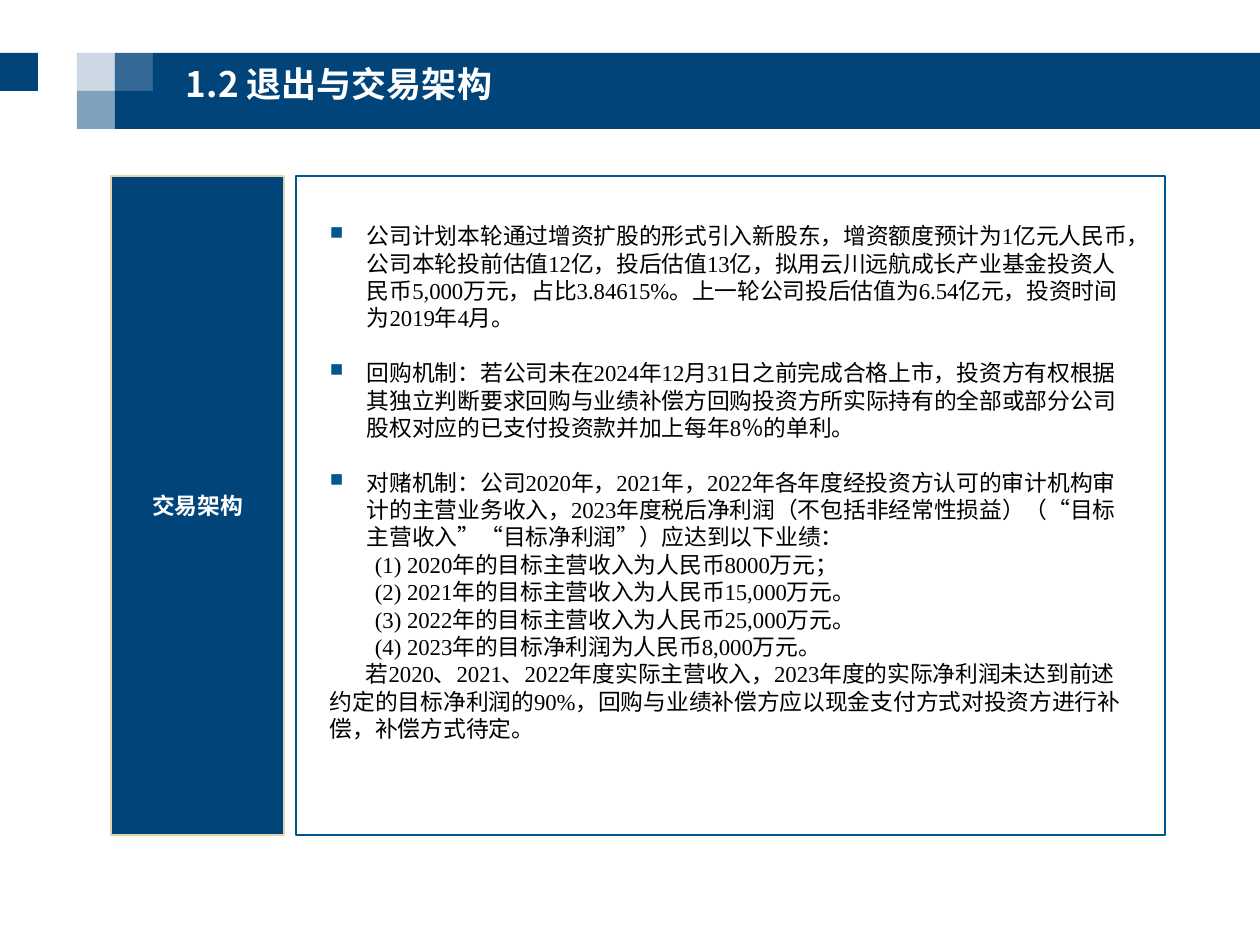
from dataclasses import dataclass

from lxml import etree
from pptx import Presentation
from pptx import util as u
from pptx.dml.color import RGBColor
from pptx.enum import shapes, text
from pptx.oxml import ns

EMU_PER_PX = 914400 / 126
NAVY = RGBColor(0x00, 0x44, 0x7A)
BLUE = RGBColor(0x00, 0x58, 0x8F)
SAND = RGBColor(0xE5, 0xD3, 0xAE)
WHITE = RGBColor(0xFF, 0xFF, 0xFF)
BLACK = RGBColor(0x00, 0x00, 0x00)
SANS = "Noto Sans CJK SC"
SERIF = "Times New Roman"
CELL = 38  # side of a header square
LINE_PT = 15.65  # line pitch of the body text


@dataclass(frozen=True)
class Box:
    left: int
    top: int
    width: int
    height: int


@dataclass(frozen=True)
class Tile:
    box: Box
    opacity: int = 100


@dataclass(frozen=True)
class Item:
    words: str
    margin: int = 0
    indent: int = 0
    bullet: bool = False
    gap: bool = False


def px(length: int) -> int:
    return round(length * EMU_PER_PX)


def place(box: Box) -> tuple[int, int, int, int]:
    return px(box.left), px(box.top), px(box.width), px(box.height)


def add_rect(slide, box: Box, fill=None, line=None, line_pt=1.0, opacity=100):
    rect = slide.shapes.add_shape(shapes.MSO_SHAPE.RECTANGLE, *place(box))
    rect.shadow.inherit = False
    if fill is None:
        rect.fill.background()
    else:
        rect.fill.solid()
        rect.fill.fore_color.rgb = fill
    if opacity < 100:
        color = rect.fill._xPr.find(".//" + ns.qn("a:srgbClr"))
        etree.SubElement(color, ns.qn("a:alpha"), val=str(opacity * 1000))
    if line is None:
        rect.line.fill.background()
    else:
        rect.line.color.rgb = line
        rect.line.width = u.Pt(line_pt)
    return rect


def add_text_box(slide, box: Box, inset_x: int, inset_y: int):
    frame = slide.shapes.add_textbox(*place(box)).text_frame
    frame.word_wrap = True
    frame.margin_left = frame.margin_right = px(inset_x)
    frame.margin_top = frame.margin_bottom = px(inset_y)
    return frame


def write(paragraph, words: str, *, size: float, color: RGBColor,
          font=SANS, bold=False, align=text.PP_ALIGN.LEFT) -> None:
    paragraph.alignment = align
    run = paragraph.add_run()
    run.text = words
    run.font.size = u.Pt(size)
    run.font.name = font
    run.font.bold = bold
    run.font.color.rgb = color
    latin = run.font._element.find(ns.qn("a:latin"))
    latin.addnext(etree.Element(ns.qn("a:ea"), typeface=SANS))


def set_bullet(paragraph) -> None:
    props = paragraph._p.get_or_add_pPr()
    color = etree.SubElement(props, ns.qn("a:buClr"))
    etree.SubElement(color, ns.qn("a:srgbClr"), val=str(BLUE))
    etree.SubElement(props, ns.qn("a:buSzPct"), val="80000")
    etree.SubElement(props, ns.qn("a:buChar"), char="■")


def add_item(paragraph, item: Item) -> None:
    props = paragraph._p.get_or_add_pPr()
    props.set("marL", str(px(item.margin)))
    props.set("indent", str(px(item.indent)))
    paragraph.line_spacing = u.Pt(LINE_PT)
    if item.gap:
        paragraph.space_before = u.Pt(LINE_PT)
    if item.bullet:
        set_bullet(paragraph)
    write(paragraph, item.words, size=13, color=BLACK, font=SERIF)


def point(words: str, gap=True) -> Item:
    return Item(words, margin=37, indent=-37, bullet=True, gap=gap)


def target(words: str) -> Item:
    return Item(words, margin=45)


HEADER_LEFT, HEADER_TOP = 77, 53
TILES = [Tile(Box(0, HEADER_TOP, CELL, CELL))] + [
    Tile(Box(HEADER_LEFT + col * CELL, HEADER_TOP + row * CELL, CELL, CELL), opacity)
    for row, opacities in enumerate([(20, 80), (50, 100)])
    for col, opacity in enumerate(opacities)
] + [Tile(Box(HEADER_LEFT + 2 * CELL, HEADER_TOP, 1107, 2 * CELL))]

TERMS = [
    point("公司计划本轮通过增资扩股的形式引入新股东，增资额度预计为1亿元人民币，"
          "公司本轮投前估值12亿，投后估值13亿，拟用云川远航成长产业基金投资人民币5,000万元，"
          "占比3.84615%。上一轮公司投后估值为6.54亿元，投资时间为2019年4月。", gap=False),
    point("回购机制：若公司未在2024年12月31日之前完成合格上市，投资方有权根据其独立判断"
          "要求回购与业绩补偿方回购投资方所实际持有的全部或部分公司股权对应的已支付投资款"
          "并加上每年8％的单利。"),
    point("对赌机制：公司2020年，2021年，2022年各年度经投资方认可的审计机构审计的主营业务收入，"
          "2023年度税后净利润（不包括非经常性损益）（“目标主营收入”“目标净利润”）应达到以下业绩："),
    target("(1) 2020年的目标主营收入为人民币8000万元；"),
    target("(2) 2021年的目标主营收入为人民币15,000万元。"),
    target("(3) 2022年的目标主营收入为人民币25,000万元。"),
    target("(4) 2023年的目标净利润为人民币8,000万元。"),
    Item("若2020、2021、2022年度实际主营收入，2023年度的实际净利润未达到前述约定的"
         "目标净利润的90%，回购与业绩补偿方应以现金支付方式对投资方进行补偿，补偿方式待定。",
         indent=36),
]


def main() -> None:
    deck = Presentation()
    deck.slide_width, deck.slide_height = px(1260), px(945)
    slide = deck.slides.add_slide(deck.slide_layouts[6])

    # Header band
    for tile in TILES:
        add_rect(slide, tile.box, fill=NAVY, opacity=tile.opacity)
    title = add_text_box(slide, Box(175, 58, 1085, 53), 11, 5)
    write(title.paragraphs[0], "1.2 退出与交易架构", size=20, color=WHITE, bold=True)

    # Section label and panel
    add_rect(slide, Box(296, 176, 869, 659), line=BLUE, line_pt=0.75)
    label = add_rect(slide, Box(111, 176, 173, 659), fill=NAVY, line=SAND).text_frame
    label.vertical_anchor = text.MSO_ANCHOR.MIDDLE
    write(label.paragraphs[0], "交易架构", size=13, color=WHITE, bold=True,
          align=text.PP_ALIGN.CENTER)

    # Deal terms
    terms = add_text_box(slide, Box(317, 216, 832, 540), 13, 6)
    for number, item in enumerate(TERMS):
        add_item(terms.add_paragraph() if number else terms.paragraphs[0], item)

    deck.save("out.pptx")


if __name__ == "__main__":
    main()
